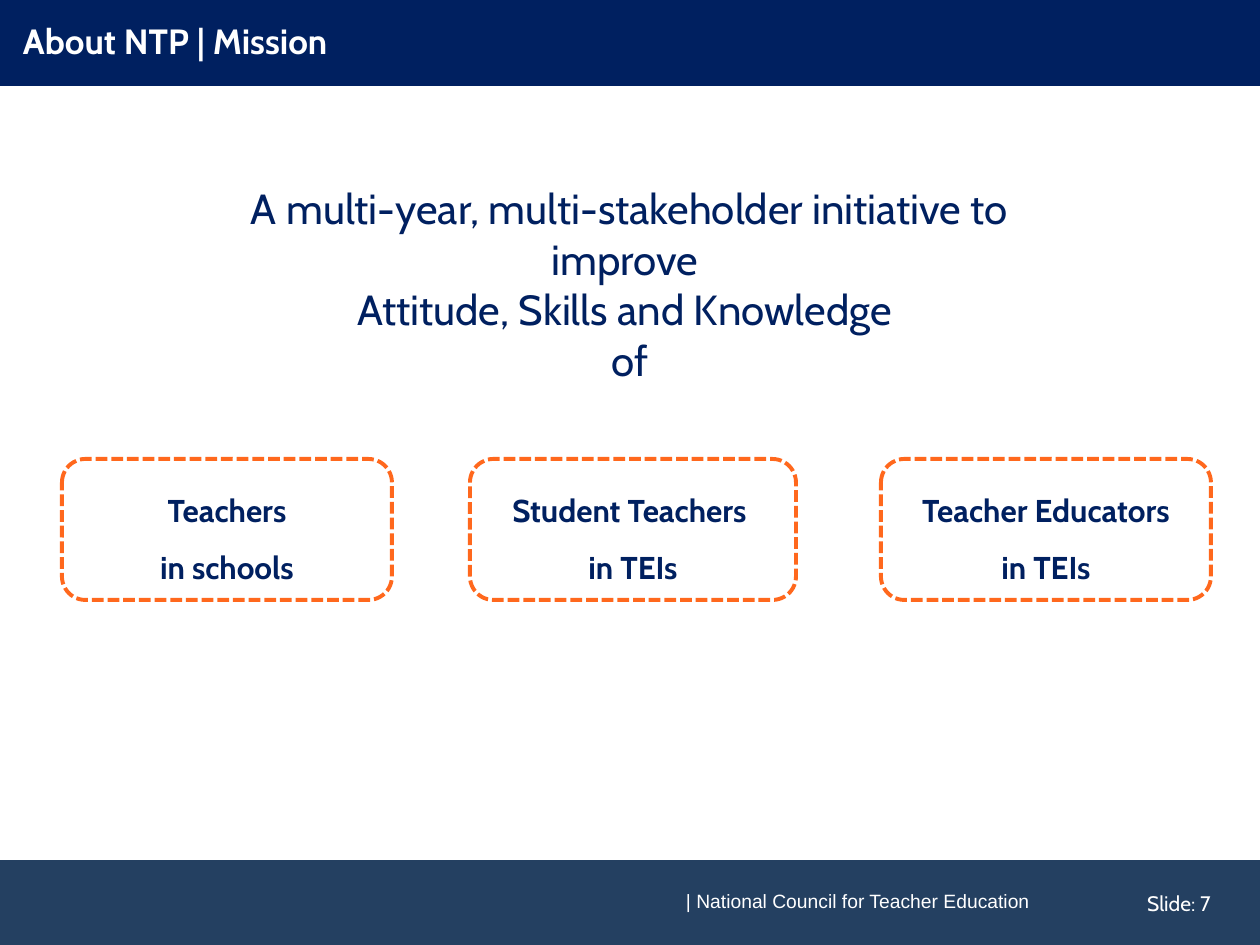
from dataclasses import dataclass

from pptx import Presentation
from pptx.dml.color import RGBColor
from pptx.enum.dml import MSO_LINE
from pptx.enum.shapes import MSO_SHAPE
from pptx.enum.text import MSO_ANCHOR, PP_ALIGN
from pptx.util import Pt

PX = 914400 / 126


@dataclass(frozen=True)
class Theme:
    navy: str = "002060"
    slate: str = "244061"
    orange: str = "FF681D"
    white: str = "FFFFFF"
    font: str = "Cabin"
    footer_font: str = "Arial"
    title: int = 20
    lead: int = 24
    card: int = 18
    number: int = 12
    footer: int = 11


T = Theme()


def add_shape(kind, box, fill, line=None):
    sp = s.shapes.add_shape(kind, *[round(v * PX) for v in box])
    sp.shadow.inherit = False
    sp.fill.solid()
    sp.fill.fore_color.rgb = RGBColor.from_string(fill)
    if line:
        sp.line.color.rgb = RGBColor.from_string(line)
        sp.line.width = Pt(2.25)
        sp.line.dash_style = MSO_LINE.SQUARE_DOT
    else:
        sp.line.fill.background()
    return sp


def add_text(box, lines, size, color=T.white, font=T.font, bold=False,
             align=PP_ALIGN.LEFT, anchor=MSO_ANCHOR.TOP, spacing=1.0, pad=(13, 6)):
    tb = s.shapes.add_textbox(*[round(v * PX) for v in box])
    tf = tb.text_frame
    tf.word_wrap = True
    tf.vertical_anchor = anchor
    tf.margin_left = tf.margin_right = round(pad[0] * PX)
    tf.margin_top = tf.margin_bottom = round(pad[1] * PX)
    for i, line in enumerate(lines):
        p = tf.paragraphs[0] if i == 0 else tf.add_paragraph()
        p.alignment = align
        p.line_spacing = spacing
        r = p.add_run()
        r.text = line
        r.font.name = font
        r.font.size = Pt(size)
        r.font.bold = bold
        r.font.color.rgb = RGBColor.from_string(color)


prs = Presentation()
prs.slide_width = round(1260 * PX)
prs.slide_height = round(945 * PX)
s = prs.slides.add_slide(prs.slide_layouts[6])

# Header
header = (0, 0, 1260, 86)
add_shape(MSO_SHAPE.RECTANGLE, header, T.navy)
add_text(header, ["About NTP | Mission"], T.title, bold=True,
         anchor=MSO_ANCHOR.MIDDLE, spacing=0.9, pad=(23, 6))

# Footer
add_shape(MSO_SHAPE.RECTANGLE, (0, 860, 1260, 85), T.slate)
add_text((673, 878, 416, 47), ["| National Council for Teacher Education"],
         T.footer, font=T.footer_font, pad=(13, 13))
add_text((1117, 878, 124, 50), ["Slide: 7"], T.number,
         align=PP_ALIGN.CENTER, anchor=MSO_ANCHOR.MIDDLE)

# Mission statement
add_text((230, 177, 799, 217),
         ["A multi-year, multi-stakeholder initiative to improve ",
          "Attitude, Skills and Knowledge ", "of"],
         T.lead, color=T.navy, align=PP_ALIGN.CENTER)

# Audience cards
cards = [
    (62, 330, ["Teachers", "in schools"]),
    (470, 326, ["Student Teachers ", "in TEIs"]),
    (881, 330, ["Teacher Educators", "in TEIs"]),
]
for x, w, lines in cards:
    add_shape(MSO_SHAPE.ROUNDED_RECTANGLE, (x, 459, w, 141), T.white, T.orange)
    add_text((x, 466, w, 123), lines, T.card, color=T.navy, bold=True,
             align=PP_ALIGN.CENTER, spacing=1.5)

prs.save("out.pptx")
